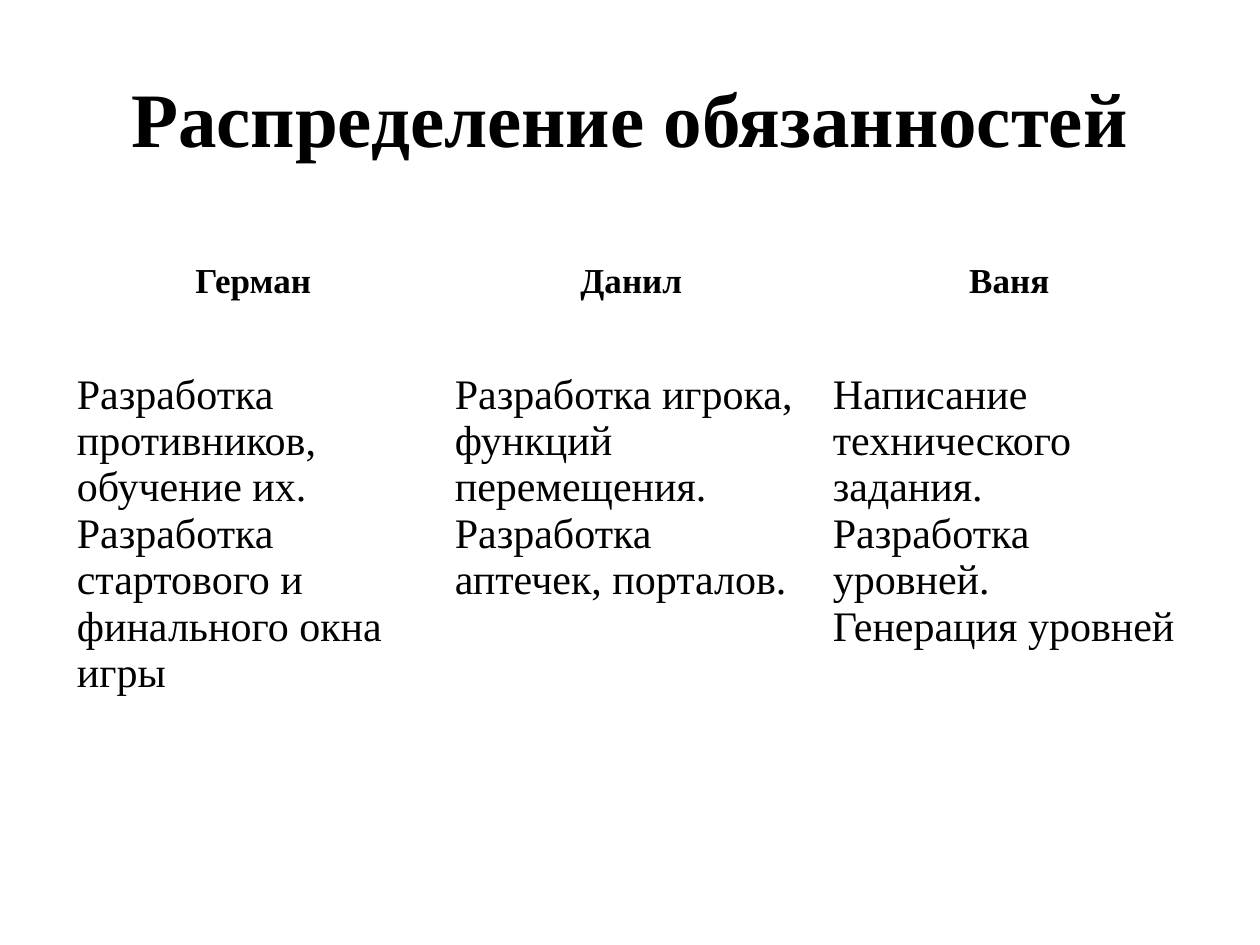
from dataclasses import dataclass

from pptx import Presentation
from pptx.dml.color import RGBColor
from pptx.enum.text import MSO_ANCHOR, PP_ALIGN
from pptx.util import Inches, Pt

WIDTH, HEIGHT = Inches(10), Inches(7.5)
FONT = "Times New Roman"
COLORS = {"text": "000000", "back": "FFFFFF"}


@dataclass(frozen=True)
class Style:
    size: int
    bold: bool
    align: PP_ALIGN


@dataclass(frozen=True)
class Member:
    name: str
    tasks: tuple[str, ...]


TITLE = Style(44, True, PP_ALIGN.CENTER)
HEAD = Style(20, True, PP_ALIGN.CENTER)
BODY = Style(24, False, PP_ALIGN.LEFT)

TEAM = (
    Member("Герман", (
        "Разработка противников, обучение их.",
        "Разработка стартового и финального окна игры",
    )),
    Member("Данил", (
        "Разработка игрока, функций перемещения.",
        "Разработка аптечек, порталов.",
    )),
    Member("Ваня", (
        "Написание технического задания.",
        "Разработка уровней.",
        "Генерация уровней",
    )),
)


def write(frame, lines: tuple[str, ...], style: Style) -> None:
    """Put each line in its own paragraph."""
    frame.word_wrap = True
    for i, line in enumerate(lines):
        para = frame.paragraphs[0] if i == 0 else frame.add_paragraph()
        para.alignment = style.align
        run = para.add_run()
        run.text = line
        run.font.name = FONT
        run.font.size = Pt(style.size)
        run.font.bold = style.bold
        run.font.color.rgb = RGBColor.from_string(COLORS["text"])


def add_title(slide, text: str) -> None:
    box = slide.shapes.add_textbox(
        int(WIDTH * 0.05), int(HEIGHT * 0.04), int(WIDTH * 0.9), Inches(1.25))
    box.text_frame.vertical_anchor = MSO_ANCHOR.MIDDLE
    write(box.text_frame, (text,), TITLE)


def add_duties(slide, team: tuple[Member, ...]) -> None:
    """Draw one column per member: the name above the tasks."""
    rows = (Inches(0.87), Inches(2.68))
    table = slide.shapes.add_table(
        len(rows), len(team), Inches(0.51), Inches(2.03),
        int(WIDTH * 0.9), sum(rows)).table
    table.first_row = table.horz_banding = False
    for row, height in zip(table.rows, rows):
        row.height = height
    for col, member in enumerate(team):
        parts = (((member.name,), HEAD), (member.tasks, BODY))
        for row, (lines, style) in enumerate(parts):
            cell = table.cell(row, col)
            cell.fill.background()
            write(cell.text_frame, lines, style)


def main() -> None:
    deck = Presentation()
    deck.slide_width, deck.slide_height = WIDTH, HEIGHT
    slide = deck.slides.add_slide(deck.slide_layouts[6])
    back = slide.background.fill
    back.solid()
    back.fore_color.rgb = RGBColor.from_string(COLORS["back"])
    add_title(slide, "Распределение обязанностей")
    add_duties(slide, TEAM)
    deck.save("out.pptx")


if __name__ == "__main__":
    main()
